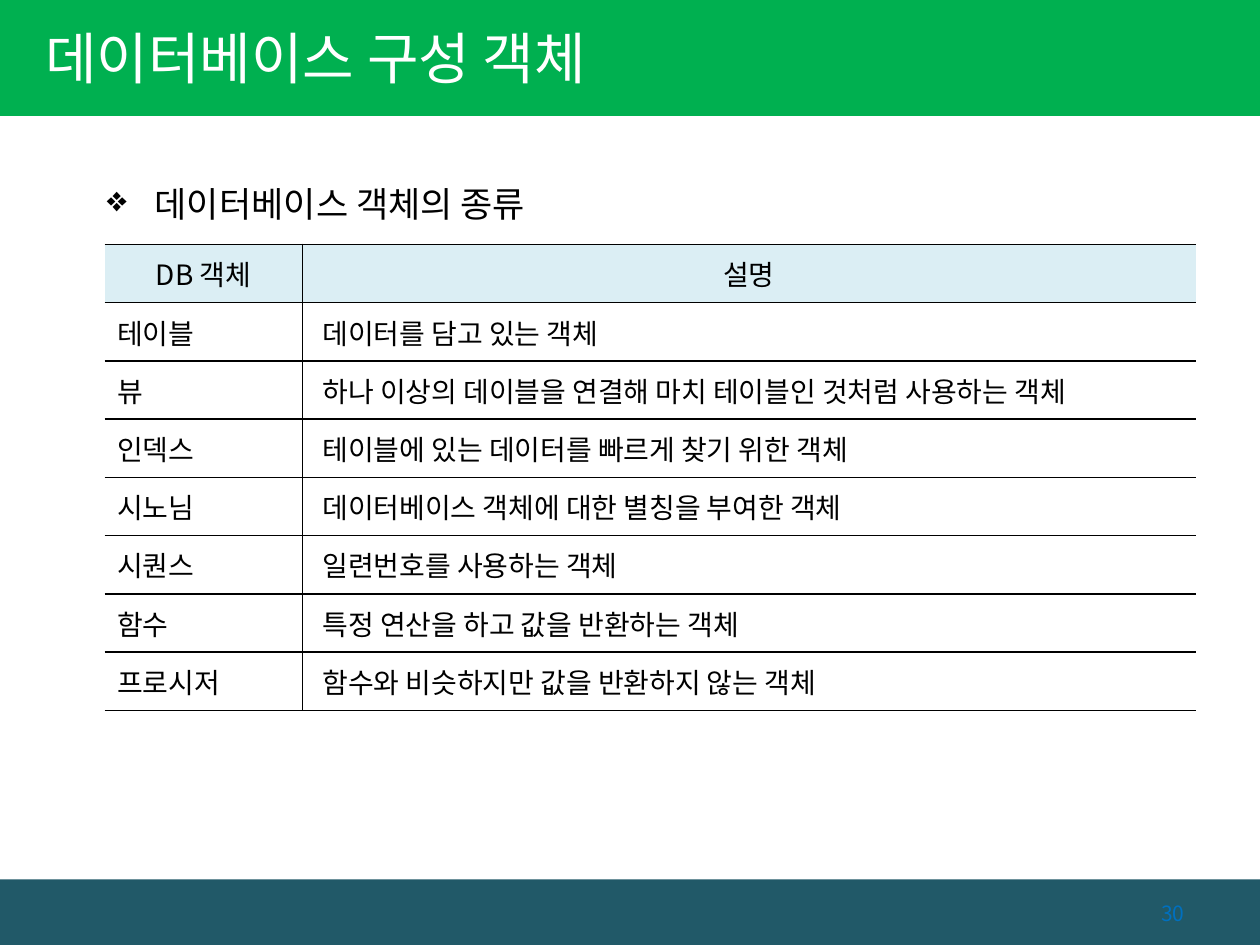
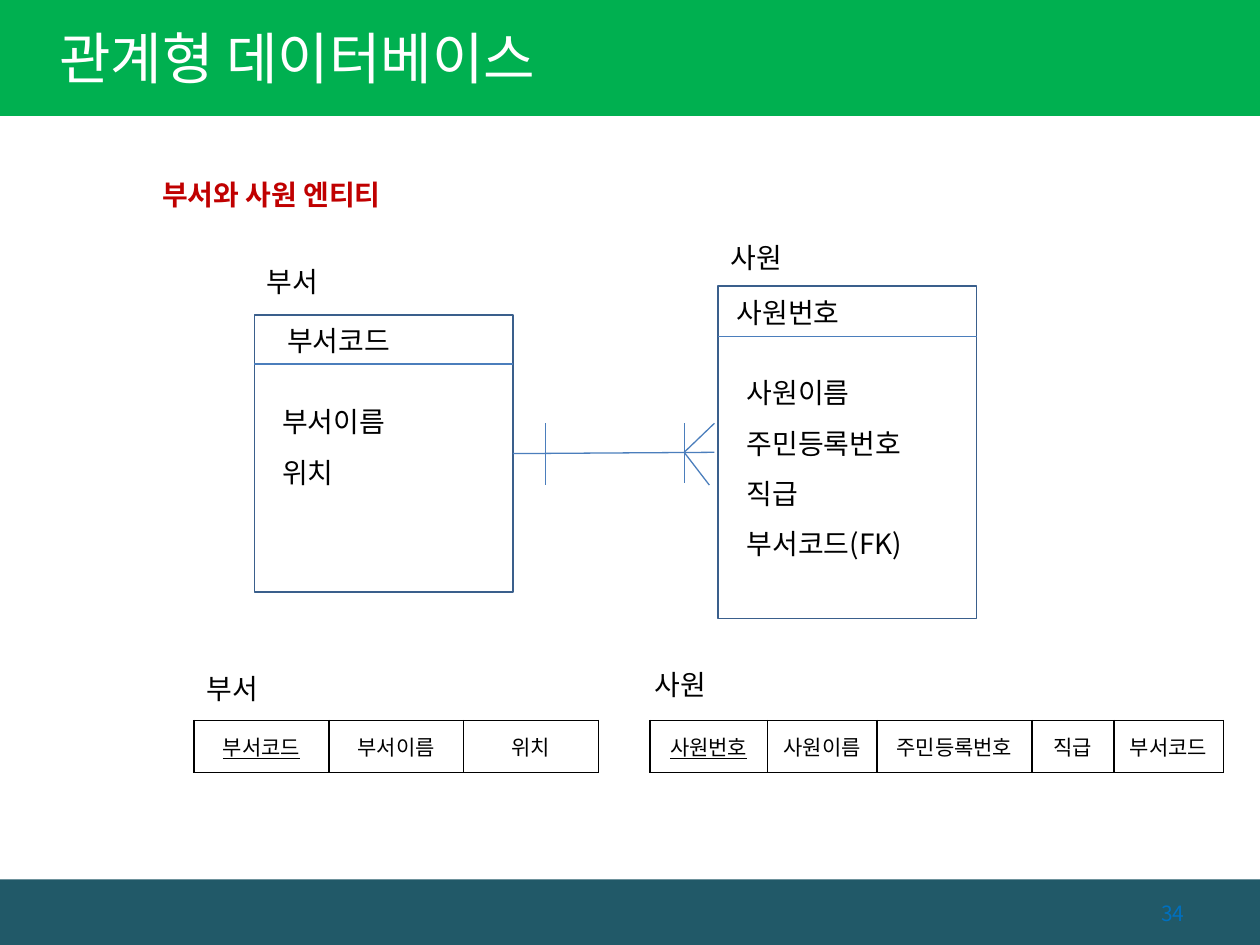
from lxml.etree import SubElement
from pptx import Presentation
from pptx.dml.color import RGBColor
from pptx.enum.shapes import MSO_CONNECTOR, MSO_SHAPE
from pptx.enum.text import MSO_ANCHOR, MSO_AUTO_SIZE, PP_ALIGN
from pptx.oxml.ns import qn
from pptx.util import Inches, Pt

FONT = "Noto Sans CJK KR"
BLACK = RGBColor(0x00, 0x00, 0x00)
WHITE = RGBColor(0xFF, 0xFF, 0xFF)
GREEN = RGBColor(0x00, 0xB0, 0x50)
TEAL = RGBColor(0x21, 0x59, 0x68)
BLUE = RGBColor(0x00, 0x70, 0xC0)
RED = RGBColor(0xC0, 0x00, 0x00)
PALE = RGBColor(0xDB, 0xEE, 0xF4)
BOX_LINE = RGBColor(0x3A, 0x5F, 0x8C)
LINK_LINE = RGBColor(0x4B, 0x7E, 0xBC)


class Deck:
    def __init__(self):
        self.prs = Presentation()
        self.prs.slide_width, self.prs.slide_height = Inches(10), Inches(7.5)
        self.s = None

    def run(self, p, text, size, color=BLACK, bold=False, underline=False):
        r = p.add_run()
        r.text = text
        f = r.font
        f.name, f.size, f.bold, f.underline = FONT, Pt(size), bold, underline
        f.color.rgb = color
        SubElement(r._r.get_or_add_rPr(), qn("a:ea"), typeface=FONT)

    def slide(self, title, number, title_width, title_inset):
        self.s = self.prs.slides.add_slide(self.prs.slide_layouts[5])
        # Bands behind the title
        self.rect(0, 6.98, 10, 0.52, fill=TEAL)
        self.rect(0, 0, 10, 0.92, fill=GREEN)
        # Title placeholder
        sp = self.s.shapes.title
        self.s.shapes._spTree.append(sp._element)
        sp.left, sp.top = Inches(0), Inches(-0.02)
        sp.width, sp.height = Inches(title_width), Inches(0.94)
        tf = sp.text_frame
        tf.auto_size = MSO_AUTO_SIZE.NONE
        tf.vertical_anchor = MSO_ANCHOR.MIDDLE
        tf.margin_left = Inches(title_inset)
        p = tf.paragraphs[0]
        p.alignment = PP_ALIGN.LEFT
        self.run(p, title, 32, WHITE)
        # Page number
        self.text(8.5, 7.1, 1, 0.3, [number], 12, BLUE, align=PP_ALIGN.RIGHT)

    def rect(self, x, y, w, h, fill=None, line=None):
        sp = self.s.shapes.add_shape(MSO_SHAPE.RECTANGLE, Inches(x), Inches(y),
                                     Inches(w), Inches(h))
        sp.shadow.inherit = False
        if fill is None:
            sp.fill.background()
        else:
            sp.fill.solid()
            sp.fill.fore_color.rgb = fill
        if line is None:
            sp.line.fill.background()
        else:
            sp.line.color.rgb = line
            sp.line.width = Pt(1)

    def text(self, x, y, w, h, lines, size=16, color=BLACK, bold=False,
             align=PP_ALIGN.LEFT, spacing=None, bullet=None):
        sp = self.s.shapes.add_textbox(Inches(x), Inches(y), Inches(w), Inches(h))
        tf = sp.text_frame
        tf.word_wrap = True
        for i, line in enumerate(lines):
            p = tf.add_paragraph() if i else tf.paragraphs[0]
            p.alignment = align
            if spacing:
                p.line_spacing = spacing
            if bullet:
                pPr = p._p.get_or_add_pPr()
                pPr.set("marL", str(Inches(0.38)))
                pPr.set("indent", str(-Inches(0.38)))
                SubElement(pPr, qn("a:buChar"), char=bullet)
            self.run(p, line, size, color, bold)

    def line(self, x1, y1, x2, y2):
        c = self.s.shapes.add_connector(MSO_CONNECTOR.STRAIGHT, Inches(x1), Inches(y1),
                                        Inches(x2), Inches(y2))
        c.line.color.rgb = LINK_LINE
        c.line.width = Pt(0.75)
        SubElement(c._element.spPr, qn("a:effectLst"))

    def borders(self, cell, sides):
        tcPr = cell._tc.get_or_add_tcPr()
        for i, side in enumerate("LRTB"):
            ln = SubElement(tcPr, qn("a:ln" + side), w=str(Pt(1)))
            if side in sides:
                fill = SubElement(ln, qn("a:solidFill"))
                SubElement(fill, qn("a:srgbClr"), val=str(BLACK))
            else:
                SubElement(ln, qn("a:noFill"))
            tcPr.insert(i, ln)

    def table(self, x, y, cols, row_h, rows, size, header=False, framed=True):
        frame = self.s.shapes.add_table(len(rows), len(cols), Inches(x), Inches(y),
                                        Inches(sum(cols)), Inches(row_h * len(rows)))
        t = frame.table
        t.first_row = t.horz_banding = False
        for col, w in zip(t.columns, cols):
            col.width = Inches(w)
        for i, row in enumerate(rows):
            t.rows[i].height = Inches(row_h)
            for j, value in enumerate(row):
                cell = t.cell(i, j)
                cell.vertical_anchor = MSO_ANCHOR.MIDDLE
                if header and i == 0:
                    cell.fill.solid()
                    cell.fill.fore_color.rgb = PALE
                else:
                    cell.fill.background()
                centred = not header or i == 0
                if not centred and j:
                    cell.margin_left = Inches(0.16)
                p = cell.text_frame.paragraphs[0]
                p.alignment = PP_ALIGN.CENTER if centred else PP_ALIGN.LEFT
                self.run(p, value, size, underline=not header and j == 0)
                left = "L" if framed or j else ""
                right = "R" if framed or j < len(cols) - 1 else ""
                self.borders(cell, "TB" + left + right)

    def entity(self, x, y, h, rule_y, name, name_y, key, key_at, fields, fields_at):
        self.rect(x, y, 2.05, h, line=BOX_LINE)
        self.line(x, rule_y, x + 2.05, rule_y)
        self.text(x, name_y, 0.94, 0.37, [name])
        self.text(*key_at, 1.23, 0.37, [key])
        self.text(*fields_at, 1.77, 0.43 * len(fields), fields, spacing=1.5)


def objects_slide(d):
    d.slide("데이터베이스 구성 객체", "30", 6.26, 0.36)
    d.text(0.75, 1.23, 4.09, 0.55, ["데이터베이스 객체의 종류"], 20,
           spacing=1.5, bullet="❖")
    d.table(0.83, 1.94, [1.57, 7.09], 3.7 / 8, [
        ("DB 객체", "설명"),
        ("테이블", "데이터를 담고 있는 객체"),
        ("뷰", "하나 이상의 데이블을 연결해 마치 테이블인 것처럼 사용하는 객체"),
        ("인덱스", "테이블에 있는 데이터를 빠르게 찾기 위한 객체"),
        ("시노님", "데이터베이스 객체에 대한 별칭을 부여한 객체"),
        ("시퀀스", "일련번호를 사용하는 객체"),
        ("함수", "특정 연산을 하고 값을 반환하는 객체"),
        ("프로시저", "함수와 비슷하지만 값을 반환하지 않는 객체"),
    ], 16, header=True, framed=False)


def relations_slide(d):
    d.slide("관계형 데이터베이스", "34", 7.05, 0.47)
    d.text(1.19, 1.23, 8.31, 0.5, ["부서와 사원 엔티티"], 16, RED, True, spacing=1.5)
    # Entities
    d.entity(5.7, 2.27, 2.64, 2.67, "사원", 1.86, "사원번호", (5.75, 2.3),
             ["사원이름", "주민등록번호", "직급", "부서코드(FK)"], (5.83, 2.8))
    d.entity(2.02, 2.5, 2.2, 2.89, "부서", 2.05, "부서코드", (2.18, 2.52),
             ["부서이름", "위치"], (2.14, 3.03))
    # One-to-many relation with crow's foot
    for ends in ((4.07, 3.6, 5.67, 3.59), (4.33, 3.36, 4.33, 3.85),
                 (5.43, 3.36, 5.43, 3.83), (5.43, 3.59, 5.67, 3.36),
                 (5.43, 3.59, 5.63, 3.85)):
        d.line(*ends)
    # Relation schemas
    d.text(1.54, 5.28, 0.94, 0.37, ["부서"])
    d.table(1.54, 5.72, [1.07] * 3, 0.41, [("부서코드", "부서이름", "위치")], 12)
    d.text(5.1, 5.25, 0.94, 0.37, ["사원"])
    d.table(5.16, 5.72, [0.93, 0.87, 1.23, 0.65, 0.87], 0.41,
            [("사원번호", "사원이름", "주민등록번호", "직급", "부서코드")], 12)


def main():
    d = Deck()
    objects_slide(d)
    relations_slide(d)
    d.prs.save("out.pptx")


if __name__ == "__main__":
    main()
